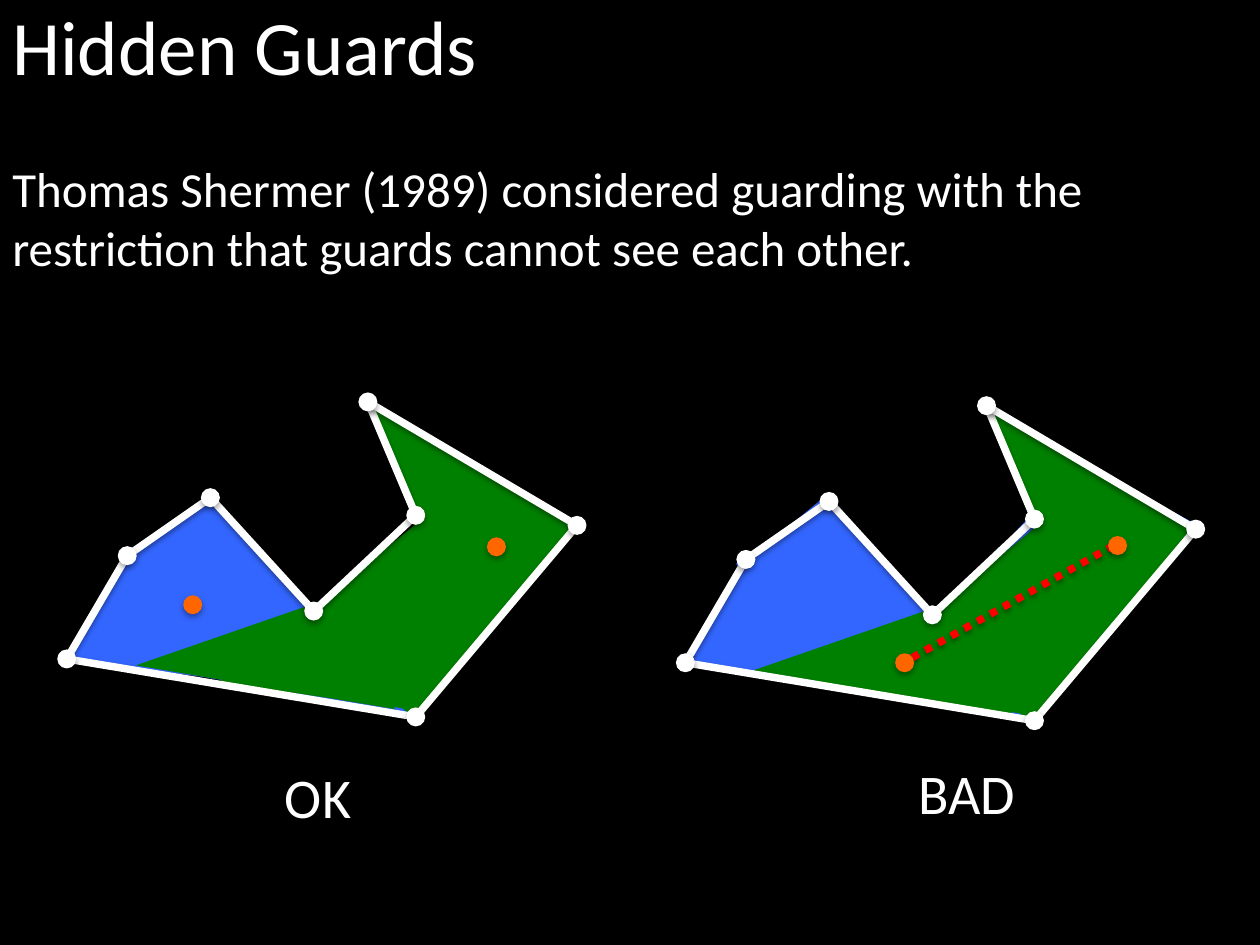
import pptx
import pptx.util
from pptx.dml.color import RGBColor
from pptx.enum.dml import MSO_LINE
from pptx.enum.shapes import MSO_CONNECTOR, MSO_SHAPE
from pptx.enum.text import MSO_AUTO_SIZE, PP_ALIGN
from pptx.oxml.ns import qn
from lxml import etree

# Content
COLORS = {"back": "000000", "text": "FFFFFF", "wall": "FFFFFF", "guard": "FF6600",
          "blue": "3366FF", "green": "008000", "sight": "FF0000", "shadow": "000000"}
WIDTH, HEIGHT = 10, 7.5
FONT = "Calibri"
DOT = 0.14
HANG = 0.81

# Text boxes: lines, left, top, width, height, size, alignment, hanging indent
TEXTS = [
    (["Hidden Guards"], 0, -0.06, 9.31, 0.84, 44, PP_ALIGN.LEFT, 0),
    (["Thomas Shermer (1989) considered guarding with the",
      "restriction that guards cannot see each other."],
     0, 1.21, WIDTH, 1.04, 28, PP_ALIGN.LEFT, HANG),
    (["OK"], 1.74, 6, 1.57, 0.64, 32, PP_ALIGN.CENTER, HANG),
    (["BAD"], 6.89, 5.97, 1.57, 0.64, 32, PP_ALIGN.CENTER, HANG),
]

# Corners of the room, in order round the wall; the second room is shifted
CORNERS = [(0.53, 5.23), (1.01, 4.41), (1.67, 3.95), (2.49, 4.85),
           (3.3, 4.09), (2.92, 3.19), (4.58, 4.17), (3.3, 5.69)]
ROOM_SHIFTS = [(0, 0), (4.91, 0.03)]

# Seen areas, as patches: left, top, width, height, rotation, apex (None: rectangle)
GREEN = [
    (2, 4.27, 1.66, 0.76, 311.6, 0),
    (2.52, 3.63, 1.97, 1, 210.7, 0.31),
    (2.59, 4.18, 1.82, 0.99, 311.6, None),
    (1.84, 3.91, 1.66, 1.63, 8, 0.925),
    (1.19, 4.94, 1.91, 1, 160.9, 0.044),
]
GREEN_SHIFTS = [(0, 0), (4.9, 0.04)]
BLUE = [
    [(0.91, 4.65, 2.29, 1, 227.5, 0.574),
     (0.81, 4.52, 0.95, 1.19, 119.3, 0.488),
     (1.25, 4.09, 0.82, 1.19, 145.8, 0.962),
     (1.54, 4.86, 2.36, 0.83, 183, 0.261)],
    [(5.98, 4.17, 0.88, 0.77, 146.7, 0.963),
     (6.91, 4.39, 2.5, 1.16, 132.4, 0.702),
     (5.56, 4.65, 0.88, 0.77, 121, 0.43),
     (7.43, 4.06, 2.05, 1.08, 311.2, 0.879),
     (6.18, 4.07, 0.88, 1.28, 140.4, 0),
     (5.52, 4.31, 2.6, 1.16, 9.1, 0.5)],
]
GUARDS = [[(1.53, 4.8), (3.94, 4.34)], [(7.18, 5.26), (8.87, 4.33)]]
SIGHT = [(7.24, 5.22), (8.82, 4.34)]


def inches(*values):
    return [pptx.util.Inches(v) for v in values]


def rgb(name):
    return RGBColor.from_string(COLORS[name])


def add_shadow(shape, alpha, dist):
    effects = etree.SubElement(shape._element.spPr, qn("a:effectLst"))
    outer = etree.SubElement(effects, qn("a:outerShdw"), blurRad="40000",
                             dist=str(dist), dir="5400000", rotWithShape="0")
    color = etree.SubElement(outer, qn("a:srgbClr"), val=COLORS["shadow"])
    etree.SubElement(color, qn("a:alpha"), val=str(alpha * 1000))


def add_patch(shapes, color, left, top, width, height, rotation, apex):
    kind = MSO_SHAPE.RECTANGLE if apex is None else MSO_SHAPE.ISOSCELES_TRIANGLE
    sp = shapes.add_shape(kind, *inches(left, top, width, height))
    if apex is not None:
        sp.adjustments[0] = apex
    sp.rotation = rotation
    sp.fill.solid()
    sp.fill.fore_color.rgb = rgb(color)
    sp.line.fill.background()
    sp.shadow.inherit = False


def add_dot(shapes, color, x, y):
    sp = shapes.add_shape(MSO_SHAPE.OVAL, *inches(x - DOT / 2, y - DOT / 2, DOT, DOT))
    sp.fill.solid()
    sp.fill.fore_color.rgb = rgb(color)
    sp.line.color.rgb = rgb(color)
    sp.line.width = pptx.util.Pt(0.75)
    add_shadow(sp, 35, 23000)


def add_line(shapes, color, start, end, dash=None):
    line = shapes.add_connector(MSO_CONNECTOR.STRAIGHT, *inches(*start, *end))
    line.line.color.rgb = rgb(color)
    line.line.width = pptx.util.Pt(4.25)
    if dash:
        line.line.dash_style = dash
    add_shadow(line, 38, 20000)


def add_text(shapes, lines, left, top, width, height, size, align, hang):
    tf = shapes.add_textbox(*inches(left, top, width, height)).text_frame
    tf.word_wrap = True
    tf.auto_size = MSO_AUTO_SIZE.SHAPE_TO_FIT_TEXT
    tf.text = "\n".join(lines)
    for p in tf.paragraphs:
        p.alignment = align
        p.font.name, p.font.size = FONT, pptx.util.Pt(size)
        p.font.color.rgb = rgb("text")
        if hang:
            pPr = p._p.get_or_add_pPr()
            pPr.set("marL", str(pptx.util.Inches(hang)))
            pPr.set("indent", str(-pptx.util.Inches(hang)))


def main():
    prs = pptx.Presentation()
    prs.slide_width, prs.slide_height = inches(WIDTH, HEIGHT)
    s = prs.slides.add_slide(prs.slide_layouts[6])
    s.background.fill.solid()
    s.background.fill.fore_color.rgb = rgb("back")

    # Seen areas, blue below green
    for blue, (dx, dy) in zip(BLUE, GREEN_SHIFTS):
        green = [(x + dx, y + dy, *rest) for x, y, *rest in GREEN]
        for color, patches in (("blue", blue), ("green", green)):
            group = s.shapes.add_group_shape()
            for patch in patches:
                add_patch(group.shapes, color, *patch)

    # Line of sight between the two guards of the bad room
    add_line(s.shapes, "sight", *SIGHT, dash=MSO_LINE.ROUND_DOT)

    for text in TEXTS:
        add_text(s.shapes, *text)

    # Walls, corners and guards
    for (dx, dy), guards in zip(ROOM_SHIFTS, GUARDS):
        room = s.shapes.add_group_shape()
        corners = [(x + dx, y + dy) for x, y in CORNERS]
        for start, end in zip(corners, corners[1:] + corners[:1]):
            add_line(room.shapes, "wall", start, end)
        for corner in corners:
            add_dot(room.shapes, "wall", *corner)
        for guard in guards:
            add_dot(s.shapes, "guard", *guard)

    prs.save("out.pptx")


if __name__ == "__main__":
    main()
